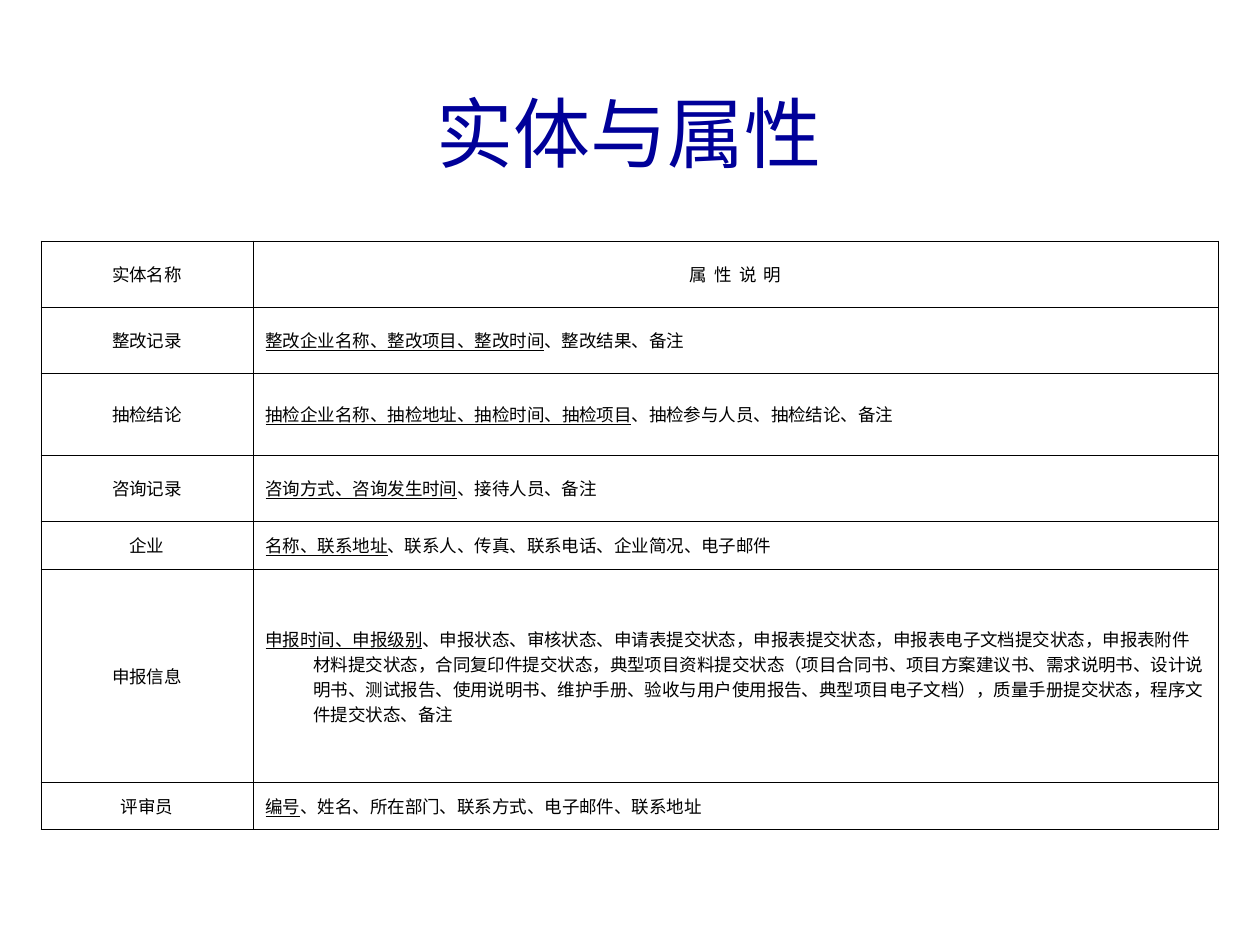
from lxml import etree
from pptx import Presentation, util as u
from pptx.dml.color import RGBColor
from pptx.enum import text
from pptx.oxml.ns import qn

PX = 914400 // 126  # EMU per pixel
THEME = {
    "title": RGBColor.from_string("000099"),
    "ink": RGBColor.from_string("000000"),
    "title_font": "Arial", "body_font": "Noto Sans CJK SC",
    "title_size": u.Pt(44), "body_size": u.Pt(10),
    "border": u.Pt(0.45),
}

# Each row: height, entity, key attributes (underlined), other attributes
ROWS = [
    (66, "实体名称", "", "属 性 说 明"),
    (66, "整改记录", "整改企业名称、整改项目、整改时间", "、整改结果、备注"),
    (82, "抽检结论", "抽检企业名称、抽检地址、抽检时间、抽检项目",
     "、抽检参与人员、抽检结论、备注"),
    (66, "咨询记录", "咨询方式、咨询发生时间", "、接待人员、备注"),
    (49, "企业", "名称、联系地址", "、联系人、传真、联系电话、企业简况、电子邮件"),
    (213, "申报信息", "申报时间、申报级别",
     "、申报状态、审核状态、申请表提交状态，申报表提交状态，申报表电子文档提交状态，"
     "申报表附件材料提交状态，合同复印件提交状态，典型项目资料提交状态（项目合同书、"
     "项目方案建议书、需求说明书、设计说明书、测试报告、使用说明书、维护手册、"
     "验收与用户使用报告、典型项目电子文档），质量手册提交状态，程序文件提交状态、备注"),
    (47, "评审员", "编号", "、姓名、所在部门、联系方式、电子邮件、联系地址"),
]
COLS = [212, 965]


def add_run(p, words, font, size, color, underline=False):
    r = p.add_run()
    r.text = words
    r.font.name, r.font.size, r.font.color.rgb = font, size, color
    if underline:
        r.font.underline = True
    return r


def add_borders(cell):
    tc_pr = cell._tc.get_or_add_tcPr()
    for side in ("lnL", "lnR", "lnT", "lnB"):
        ln = etree.SubElement(tc_pr, qn(f"a:{side}"), w=str(THEME["border"]))
        fill = etree.SubElement(ln, qn("a:solidFill"))
        etree.SubElement(fill, qn("a:srgbClr"), val=str(THEME["ink"]))


prs = Presentation()
prs.slide_width, prs.slide_height = 1260 * PX, 945 * PX
s = prs.slides.add_slide(prs.slide_layouts[5])

# Title
title = s.shapes.title
title.left, title.top, title.width, title.height = (
    n * PX for n in (41, 53, 1177, 158))
tf = title.text_frame
tf.vertical_anchor = text.MSO_ANCHOR.MIDDLE
p = tf.paragraphs[0]
p.alignment = text.PP_ALIGN.CENTER
add_run(p, "实体与属性", THEME["title_font"], THEME["title_size"], THEME["title"])

# Entity table
frame = s.shapes.add_table(len(ROWS), len(COLS), 41 * PX, 241 * PX,
                           sum(COLS) * PX, sum(row[0] for row in ROWS) * PX)
table = frame.table
table.first_row = table.horz_banding = False
for col, width in zip(table.columns, COLS):
    col.width = width * PX

for i, (height, entity, keys, others) in enumerate(ROWS):
    table.rows[i].height = height * PX
    for j, parts in enumerate([[(entity, False)], [(keys, True), (others, False)]]):
        cell = table.cell(i, j)
        add_borders(cell)
        cell.fill.background()
        cell.vertical_anchor = text.MSO_ANCHOR.MIDDLE
        p = cell.text_frame.paragraphs[0]
        centred = i == 0 or j == 0
        p.alignment = text.PP_ALIGN.CENTER if centred else text.PP_ALIGN.LEFT
        # Hanging indent
        p_pr = p._p.get_or_add_pPr()
        p_pr.set("marL", str(48 * PX))
        p_pr.set("indent", str(-48 * PX))
        for words, underline in parts:
            if not words:
                continue
            r = add_run(p, words, THEME["body_font"], THEME["body_size"],
                        THEME["ink"], underline)
            r_pr = r._r.get_or_add_rPr()
            etree.SubElement(r_pr, qn("a:ea"), typeface=THEME["body_font"])
            if i == 0 and j == 1:
                r_pr.set("spc", "100")  # spread the heading letters

prs.save("out.pptx")
